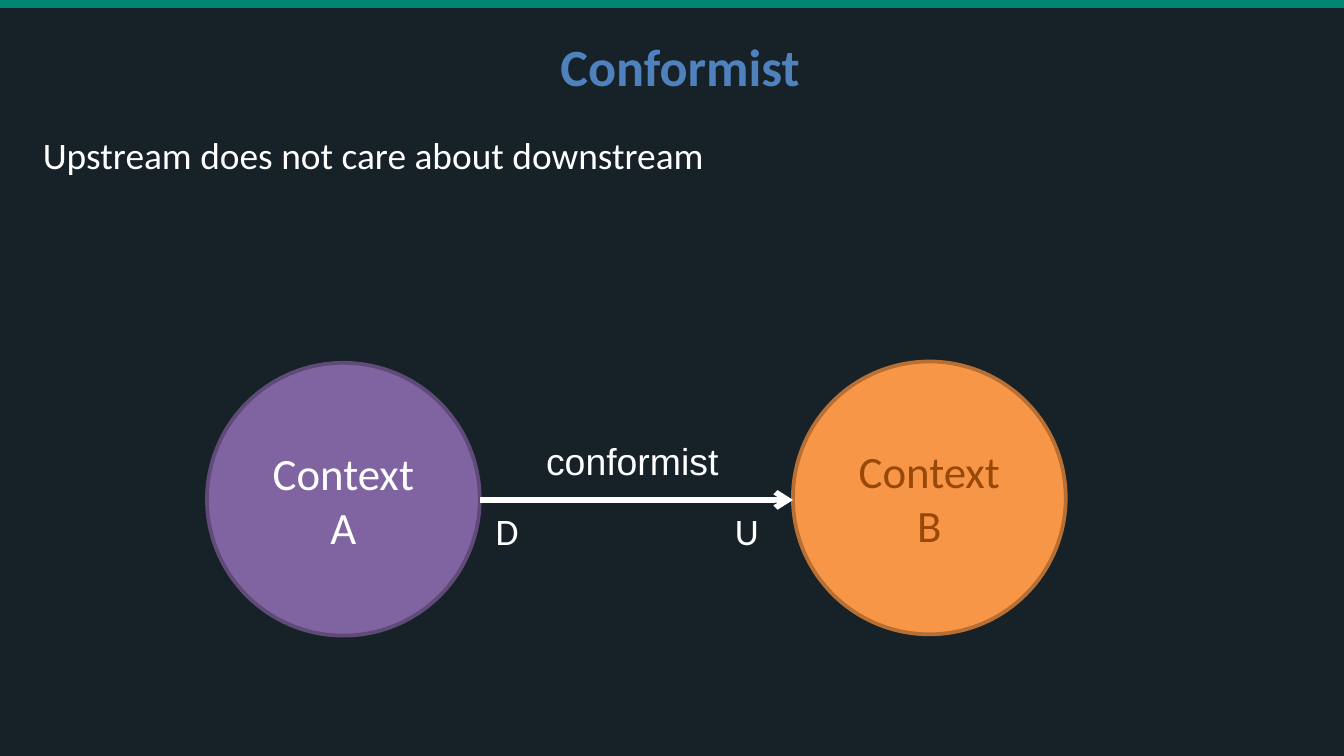
"""Build the Conformist context-map slide."""
from dataclasses import dataclass

from lxml.etree import SubElement
from pptx import Presentation
from pptx.dml.color import RGBColor as Rgb
from pptx.enum.shapes import MSO_CONNECTOR as Link, MSO_SHAPE as Kind
from pptx.enum.text import MSO_ANCHOR as Anchor, PP_ALIGN as Align
from pptx.oxml.ns import qn
from pptx.util import Inches, Pt


@dataclass(frozen=True)
class Theme:
    back: str = "162128"
    bar: str = "008774"
    title: str = "4F81BD"
    white: str = "FFFFFF"
    purple: str = "8064A2"
    plum: str = "5F4A78"
    orange: str = "F79646"
    rust: str = "B76F34"
    brown: str = "984807"
    large: int = 28
    mid: int = 24
    small: int = 20
    sans: str = "Calibri"
    label: str = "Arial"


theme = Theme()


def write(frame, lines, size, color, align=Align.LEFT, face=theme.sans, bold=False):
    for i, line in enumerate(lines):
        para = frame.paragraphs[0] if i == 0 else frame.add_paragraph()
        para.alignment = align
        run = para.add_run()
        run.text = line
        run.font.name = face
        run.font.size = Pt(size)
        run.font.bold = bold
        run.font.color.rgb = Rgb.from_string(color)


def draw(kind, box, fill):
    shape = slide.shapes.add_shape(kind, *map(Inches, box))
    shape.shadow.inherit = False
    shape.fill.solid()
    shape.fill.fore_color.rgb = Rgb.from_string(fill)
    shape.line.fill.background()
    return shape


deck = Presentation()
deck.slide_width, deck.slide_height = Inches(10), Inches(10 * 9 / 16)
slide = deck.slides.add_slide(deck.slide_layouts[6])
slide.background.fill.solid()
slide.background.fill.fore_color.rgb = Rgb.from_string(theme.back)

draw(Kind.RECTANGLE, (0, 0, 10, 0.06), theme.bar)

title = slide.shapes.add_textbox(Inches(0.12), Inches(0.19), Inches(9.88), Inches(0.59))
body = slide.shapes.add_textbox(Inches(0.22), Inches(0.88), Inches(9.54), Inches(3.53))
for box in (title, body):
    frame = box.text_frame
    frame.word_wrap = True
    frame.margin_left = frame.margin_right = Inches(0.1)
    frame.margin_top = frame.margin_bottom = Inches(0.1)
title.text_frame.vertical_anchor = Anchor.MIDDLE
write(title.text_frame, ["Conformist"], theme.large, theme.title, Align.CENTER, bold=True)
write(body.text_frame, ["Upstream does not care about downstream"], theme.small, theme.white)

label = slide.shapes.add_textbox(Inches(3.57), Inches(3.21), Inches(2.27), Inches(0.42))
label.text_frame.word_wrap = True
write(label.text_frame, ["conformist"], theme.small, theme.white, Align.CENTER, theme.label)

for name, left, top, fill, edge, ink in (
    ("A", 1.54, 2.7, theme.purple, theme.plum, theme.white),
    ("B", 5.9, 2.69, theme.orange, theme.rust, theme.brown),
):
    disc = draw(Kind.OVAL, (left, top, 2.03, 2.03), fill)
    disc.line.color.rgb = Rgb.from_string(edge)
    disc.line.width = Pt(2)
    disc.text_frame.word_wrap = True
    disc.text_frame.vertical_anchor = Anchor.MIDDLE
    write(disc.text_frame, ["Context", name], theme.mid, ink, Align.CENTER)

arrow = slide.shapes.add_connector(
    Link.STRAIGHT, Inches(3.57), Inches(3.72), Inches(5.9), Inches(3.72))
arrow.line.color.rgb = Rgb.from_string(theme.white)
arrow.line.width = Pt(3)
SubElement(arrow.line._get_or_add_ln(), qn("a:tailEnd"), type="arrow")
SubElement(arrow._element.spPr, qn("a:effectLst"))

for role, left, width in (("D", 3.59, 0.37), ("U", 5.37, 0.38)):
    mark = slide.shapes.add_textbox(Inches(left), Inches(3.73), Inches(width), Inches(0.44))
    mark.text_frame.word_wrap = False
    write(mark.text_frame, [role], theme.small, theme.white)

deck.save("out.pptx")
